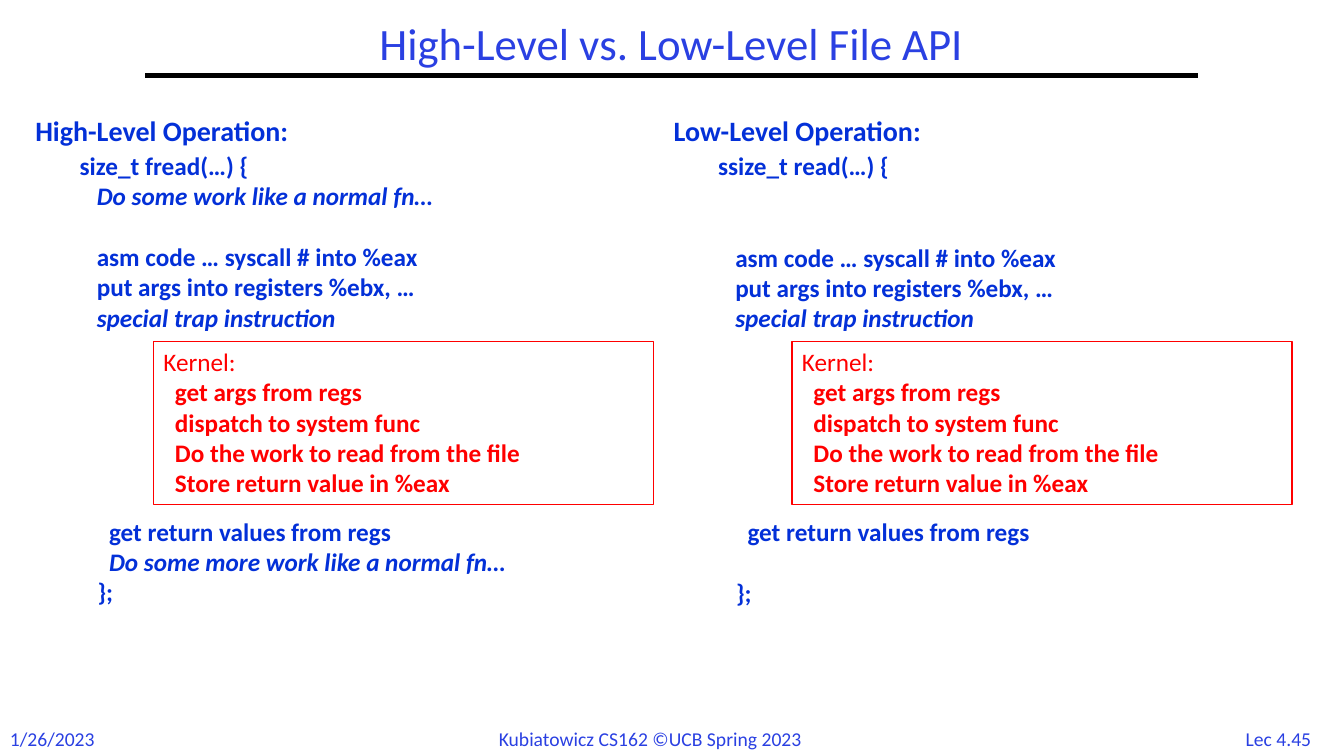
"""Build the slide that compares the high-level and low-level file API."""
from lxml.etree import SubElement
from pptx import Presentation
from pptx.dml.color import RGBColor
from pptx.enum.shapes import MSO_CONNECTOR as Connector, MSO_SHAPE as Preset
from pptx.enum.text import MSO_ANCHOR as Anchor, MSO_AUTO_SIZE as AutoSize, PP_ALIGN as Align
from pptx.oxml.ns import qn
from pptx.util import Cm, Pt

TITLE_BLUE = RGBColor(0x2A, 0x40, 0xE2)
CODE_BLUE = RGBColor(0x03, 0x30, 0xD8)
KERNEL_RED = RGBColor(0xFF, 0x00, 0x00)
BLACK = RGBColor(0x00, 0x00, 0x00)

TITLE = "High-Level vs. Low-Level File API"
FOOTERS = [
    ("1/26/2023", 0, 2.72, Align.LEFT),
    ("Kubiatowicz CS162 ©UCB Spring 2023", 12.32, 9.22, Align.LEFT),
    ("Lec 4.45", 30.99, 2.46, Align.CENTER),
]

# Each line of code: text, indent in cm, italic, empty lines above.
TRAP = [
    ("put args into registers %ebx, …", 0.43, False, 0),
    ("special trap instruction", 0.43, True, 0),
]
SYSCALL = "asm code … syscall # into %eax"
RETURN = ("get return values from regs", 0.29, False, 0)
OPERATIONS = [
    {
        "heading": "High-Level Operation:",
        "before": [
            ("size_t fread(…) {", 0, False, 0),
            ("Do some work like a normal fn…", 0.43, True, 0),
            (SYSCALL, 0.43, False, 1),
            *TRAP,
        ],
        "after": [
            RETURN,
            ("Do some more work like a normal fn…", 0.29, True, 0),
            ("};", 0, False, 0),
        ],
    },
    {
        "heading": "Low-Level Operation:",
        "before": [
            ("ssize_t read(…) {", 0, False, 0),
            (SYSCALL, 0.43, False, 2),
            *TRAP,
        ],
        "after": [RETURN, ("};", 0, False, 1)],
    },
]
KERNEL_HEADING = "Kernel:"
KERNEL_STEPS = [
    (step, 0.29, False, 0)
    for step in (
        "get args from regs",
        "dispatch to system func",
        "Do the work to read from the file",
        "Store return value in %eax",
    )
]

COLUMN_LEFT, COLUMN_STEP = 0.64, 16.09
EMPTY_LINE = 22

HEADING = {"size": Pt(20), "bold": True}
CODE = {"size": Pt(18), "bold": True}
PLAIN = {"size": Pt(18), "bold": False}
FOOTER = {"size": Pt(14), "bold": False}


def apply(target, formats):
    """Set each attribute of target from a dict."""
    for name, value in formats.items():
        setattr(target, name, value)


def write(frame, lines, look, color, align=Align.LEFT, wrap=True):
    """Fill a text frame with formatted lines."""
    apply(frame, {"word_wrap": wrap, "auto_size": AutoSize.NONE, "vertical_anchor": Anchor.TOP})
    for number, (text, indent, italic, gap) in enumerate(lines):
        line = frame.add_paragraph() if number else frame.paragraphs[0]
        apply(line, {"alignment": align, "space_before": Pt(gap * EMPTY_LINE)})
        line._p.get_or_add_pPr().set("marL", str(Cm(indent)))
        run = line.add_run()
        run.text = text
        apply(run.font, {"name": "Calibri", "italic": italic, **look})
        run.font.color.rgb = color


def add_text(slide, place, *content, **options):
    """Add a text box at a place given in cm."""
    box = slide.shapes.add_textbox(*map(Cm, place))
    write(box.text_frame, *content, **options)


def add_title(slide):
    """Place the title and the rule below it."""
    title = slide.shapes.title
    apply(title, dict(zip(("left", "top", "width", "height"), map(Cm, (3.66, 0.43, 26.52, 1.47)))))
    write(title.text_frame, [(TITLE, 0, False, 0)], {"size": Pt(32)}, TITLE_BLUE, Align.CENTER)
    title.text_frame.vertical_anchor = Anchor.MIDDLE
    title.text_frame.paragraphs[0].line_spacing = 0.9
    rule = slide.shapes.add_connector(Connector.STRAIGHT, *map(Cm, (3.66, 1.9, 30.2, 1.9)))
    rule.line.width = Pt(3)
    rule.line.color.rgb = BLACK
    SubElement(rule._element.spPr, qn("a:effectLst"))


def add_kernel(slide, left):
    """Add the framed kernel steps."""
    frame = slide.shapes.add_shape(Preset.RECTANGLE, *map(Cm, (left, 8.61, 12.6, 4.11)))
    frame.shadow.inherit = False
    frame.fill.background()
    frame.line.width = Pt(1)
    frame.line.color.rgb = KERNEL_RED
    write(frame.text_frame, [(KERNEL_HEADING, 0, False, 0)], PLAIN, KERNEL_RED)
    add_text(slide, (left, 9.37, 12.85, 3.33), KERNEL_STEPS, CODE, KERNEL_RED)


def add_operation(slide, left, operation):
    """Add one column: heading, code and kernel part."""
    heading = [(operation["heading"], 0, False, 0)]
    add_text(slide, (left, 2.74, 7.95, 1.12), heading, HEADING, CODE_BLUE, wrap=False)
    add_text(slide, (left + 1.12, 3.66, 14.55, 4.88), operation["before"], CODE, CODE_BLUE)
    add_text(slide, (left + 1.57, 12.88, 14.1, 2.57), operation["after"], CODE, CODE_BLUE)
    add_kernel(slide, left + 3.23)


def main():
    """Build and save the presentation."""
    deck = Presentation()
    apply(deck, {"slide_width": Cm(33.87), "slide_height": Cm(19.05)})
    slide = deck.slides.add_slide(deck.slide_layouts[5])
    add_title(slide)
    for text, left, width, align in FOOTERS:
        line = [(text, 0, False, 0)]
        add_text(slide, (left, 18.19, width, 0.86), line, FOOTER, TITLE_BLUE, align, wrap=False)
    for number, operation in enumerate(OPERATIONS):
        add_operation(slide, COLUMN_LEFT + number * COLUMN_STEP, operation)
    deck.save("out.pptx")


if __name__ == "__main__":
    main()
